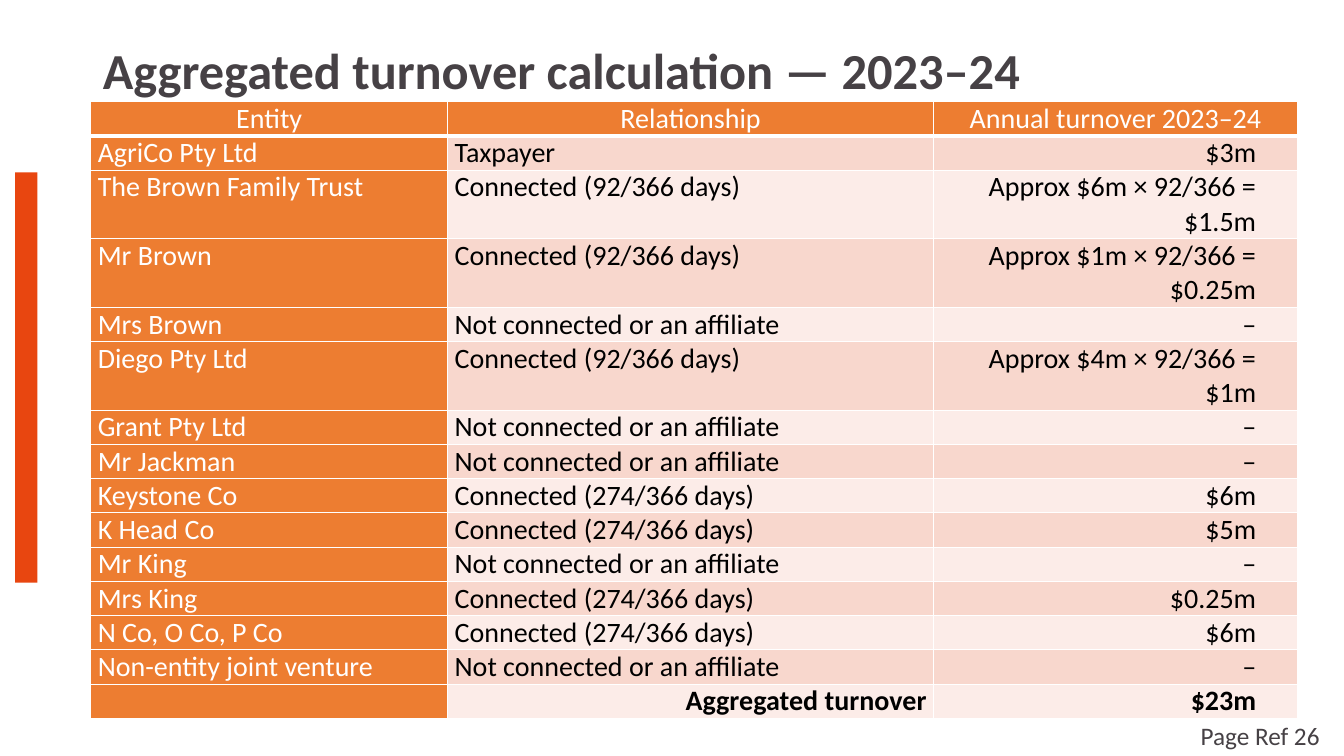
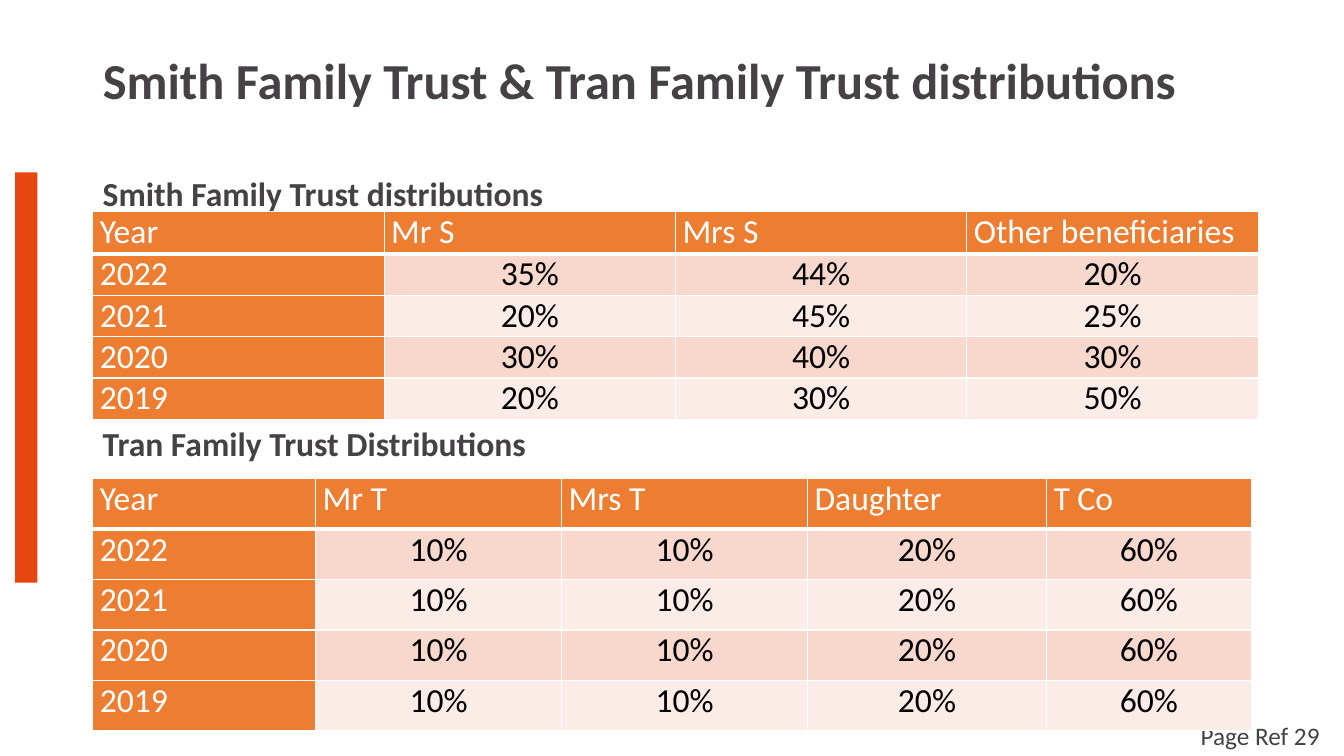
from dataclasses import dataclass
from lxml.etree import SubElement
from pptx import Presentation
from pptx.dml.color import RGBColor as Rgb
from pptx.enum.shapes import MSO_SHAPE as Preset
from pptx.enum.text import MSO_ANCHOR as Anchor, PP_ALIGN as Align
from pptx.oxml.ns import qn

PX = 9144  # 100 px to the inch


@dataclass(frozen=True)
class Theme:
    font: str = "Calibri"
    ink: str = "464145"
    accent: str = "E84610"
    head: str = "ED7D31"
    bands: tuple = ("F8D7CD", "FCECE8")
    white: str = "FFFFFF"
    black: str = "000000"
    title: int = 36
    heading: int = 24
    body: int = 20
    footer: int = 18
    rule: int = 12700
    head_rule: int = 38100


theme = Theme()


def write(paragraph, text, size, colour, bold=False, **layout):
    """Put one formatted run in a paragraph; layout holds paragraph attributes."""
    run = paragraph.add_run()
    run.text = text
    formats = {"name": theme.font, "size": size * 12700, "bold": bold}
    for target, values in ((run.font, formats), (paragraph, layout)):
        for attribute, value in values.items():
            setattr(target, attribute, value)
    run.font.color.rgb = Rgb.from_string(colour)


def add_grid(slide, left, top, widths, heights, rows, size, head_align, aligns,
             last_inset=7, total=False):
    """Add a table with a filled header row, filled first column and banded body."""
    table = slide.shapes.add_table(
        len(rows), len(widths), left * PX, top * PX,
        sum(widths) * PX, sum(heights) * PX).table
    for column, width in zip(table.columns, widths):
        column.width = width * PX
    for row, height in zip(table.rows, heights):
        row.height = height * PX
    for r, texts in enumerate(rows):
        is_total = total and r == len(rows) - 1
        for c, text in enumerate(texts):
            cell = table.cell(r, c)
            is_head = r == 0 or c == 0
            wide_inset = r > 0 and c == len(widths) - 1
            margins = {"margin_left": 7 * PX, "margin_top": 0, "margin_bottom": 0,
                       "margin_right": (last_inset if wide_inset else 7) * PX}
            for attribute, value in margins.items():
                setattr(cell, attribute, value)
            # White borders, heavier below the header
            properties = cell._tc.get_or_add_tcPr()
            for side in ("L", "R", "T", "B"):
                below_head = (r, side) in ((0, "B"), (1, "T"))
                line = SubElement(properties, qn(f"a:ln{side}"),
                                  w=str(theme.head_rule if below_head else theme.rule))
                SubElement(SubElement(line, qn("a:solidFill")), qn("a:srgbClr"),
                           val=theme.white)
            cell.fill.solid()
            cell.fill.fore_color.rgb = Rgb.from_string(
                theme.head if is_head else theme.bands[(r - 1) % 2])
            if text:
                align = Align.RIGHT if is_total else aligns[c] if r else head_align
                write(cell.text_frame.paragraphs[0], text, size,
                      theme.white if is_head else theme.black, is_total,
                      alignment=align)


deck = Presentation()
deck.slide_width, deck.slide_height = 1333 * PX, 750 * PX
title_only = deck.slide_layouts[5]

# Titles and page references
pages = []
for title_text, title_top, reference in (
        ("Aggregated turnover calculation — 2023–24", 30, "Page Ref 26"),
        ("Smith Family Trust & Tran Family Trust distributions", 40, "Page Ref 29")):
    page = deck.slides.add_slide(title_only)
    title = page.shapes.title
    place = {"left": 92, "top": title_top, "width": 1150, "height": 85}
    for attribute, value in place.items():
        setattr(title, attribute, value * PX)
    title.text_frame.vertical_anchor = Anchor.MIDDLE
    write(title.text_frame.paragraphs[0], title_text, theme.title, theme.ink, True,
          alignment=Align.LEFT, line_spacing=0.9)
    footer = page.shapes.add_textbox(1181 * PX, 710 * PX, 152 * PX, 40 * PX)
    footer.text_frame.word_wrap = True
    write(footer.text_frame.paragraphs[0], reference, theme.footer, theme.ink)
    pages.append(page)
turnover, distributions = pages

# Accent bar, moved to the shared layout
accent_bar = turnover.shapes.add_shape(
    Preset.RECTANGLE, 15 * PX, 171 * PX, 22 * PX, 407 * PX)
accent_bar.shadow.inherit = False
accent_bar.fill.solid()
accent_bar.fill.fore_color.rgb = Rgb.from_string(theme.accent)
accent_bar.line.fill.background()
title_only.shapes._spTree.append(accent_bar._element)

# Turnover by entity
early, late = "Connected (92/366 days)", "Connected (274/366 days)"
unrelated = "Not connected or an affiliate"
turnover_rows = [
    ("Entity", "Relationship", "Annual turnover 2023–24"),
    ("AgriCo Pty Ltd", "Taxpayer", "$3m"),
    ("The Brown Family Trust", early, "Approx $6m × 92/366 = $1.5m"),
    ("Mr Brown", early, "Approx $1m × 92/366 = $0.25m"),
    ("Mrs Brown", unrelated, "–"),
    ("Diego Pty Ltd", early, "Approx $4m × 92/366 = $1m"),
    ("Grant Pty Ltd", unrelated, "–"),
    ("Mr Jackman", unrelated, "–"),
    ("Keystone Co", late, "$6m"),
    ("K Head Co", late, "$5m"),
    ("Mr King", unrelated, "–"),
    ("Mrs King", late, "$0.25m"),
    ("N Co, O Co, P Co", late, "$6m"),
    ("Non-entity joint venture", unrelated, "–"),
    ("", "Aggregated turnover", "$23m"),
]
turnover_heights = [68 if row[1] == early else 34 for row in turnover_rows]
add_grid(turnover, 90, 101, [354, 482, 361], turnover_heights, turnover_rows,
         theme.body, Align.CENTER, [Align.JUSTIFY, Align.JUSTIFY, Align.RIGHT],
         last_inset=41, total=True)

# Headings of the two trusts
headings = distributions.shapes.add_textbox(92 * PX, 171 * PX, 1150 * PX, 491 * PX)
headings.text_frame.word_wrap = True
trust_heads = headings.text_frame
write(trust_heads.paragraphs[0], "Smith Family Trust distributions",
      theme.heading, theme.ink, True, line_spacing=0.9)
write(trust_heads.add_paragraph(), "Tran Family Trust Distributions",
      theme.heading, theme.ink, True, line_spacing=0.9, space_before=153 * 12700)

# Distributions by year
smith_rows = [
    ("Year", "Mr S", "Mrs S", "Other beneficiaries"),
    ("2022", "35%", "44%", "20%"),
    ("2021", "20%", "45%", "25%"),
    ("2020", "30%", "40%", "30%"),
    ("2019", "20%", "30%", "50%"),
]
tran_rows = [("Year", "Mr T", "Mrs T", "Daughter", "T Co")]
tran_rows += [(str(year), "10%", "10%", "20%", "60%") for year in range(2022, 2018, -1)]
for top, widths, heights, rows in (
        (210, [289] * 4, [42] + [41] * 4, smith_rows),
        (475, [221, 244, 244, 237, 203], [50] * 5, tran_rows)):
    add_grid(distributions, 92, top, widths, heights, rows, theme.heading,
             Align.JUSTIFY, [Align.JUSTIFY] + [Align.CENTER] * (len(widths) - 1))

deck.save("out.pptx")
